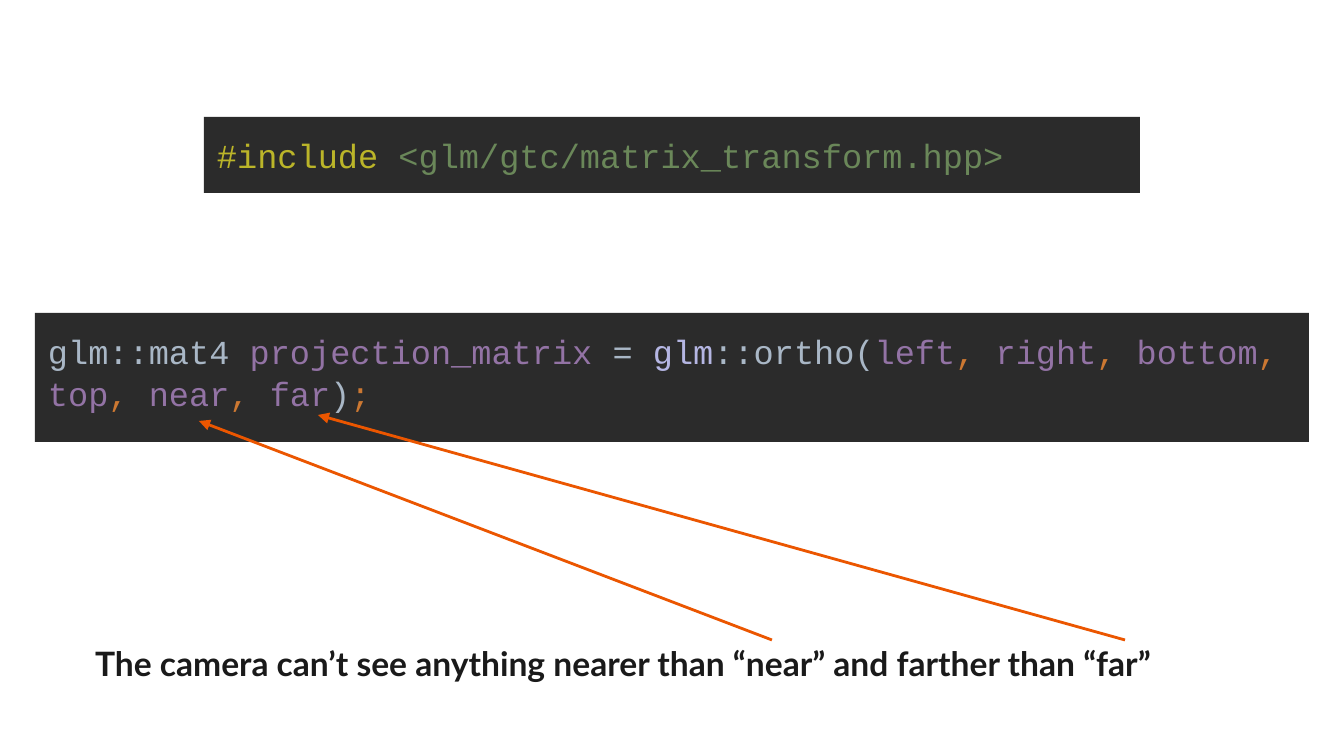
import pptx
import pptx.util
import pptx.dml.color
import pptx.enum.shapes
import pptx.enum.text
import pptx.oxml
import pptx.oxml.ns

RGBColor = pptx.dml.color.RGBColor
PANEL = RGBColor(0x2B, 0x2B, 0x2B)
PLAIN = RGBColor(0xA9, 0xB7, 0xC6)
VARIABLE = RGBColor(0x93, 0x73, 0xA5)
NAMESPACE = RGBColor(0xB5, 0xB6, 0xE3)
PUNCTUATION = RGBColor(0xCC, 0x78, 0x32)
DIRECTIVE = RGBColor(0xBB, 0xB5, 0x29)
HEADER = RGBColor(0x6A, 0x87, 0x59)
INK = RGBColor(0x1A, 0x1A, 0x1A)
ORANGE = RGBColor(0xEB, 0x56, 0x00)

EMU_PER_PX = 914400 / 134.4
INSET = 13


def px(length):
    return pptx.util.Emu(round(length * EMU_PER_PX))


def write_runs(shape, runs, font_name, top_inset=INSET, bold=False):
    """Fill the shape with one left-aligned paragraph of (text, colour) runs."""
    frame = shape.text_frame
    frame.word_wrap = True
    frame.vertical_anchor = pptx.enum.text.MSO_ANCHOR.TOP
    frame.margin_left = frame.margin_right = frame.margin_bottom = px(INSET)
    frame.margin_top = px(top_inset)
    paragraph = frame.paragraphs[0]
    paragraph.alignment = pptx.enum.text.PP_ALIGN.LEFT
    for text, colour in runs:
        run = paragraph.add_run()
        run.text = text
        run.font.name = font_name
        run.font.size = pptx.util.Pt(18)
        run.font.bold = bold
        run.font.color.rgb = colour
    return paragraph


presentation = pptx.Presentation()
presentation.slide_width = px(1344)
presentation.slide_height = px(756)
slide = presentation.slides.add_slide(presentation.slide_layouts[6])

# Code panels
ortho_runs = [
    ("glm::mat4", PLAIN),
    (" projection_matrix ", VARIABLE),
    ("= ", PLAIN),
    ("glm", NAMESPACE),
    ("::ortho(", PLAIN),
]
for argument in ("left", "right", "bottom", "top", "near"):
    ortho_runs += [(argument, VARIABLE), (", ", PUNCTUATION)]
ortho_runs += [("far", VARIABLE), (")", PLAIN), (";", PUNCTUATION)]

include_runs = [
    ("#include ", DIRECTIVE),
    ("<glm/gtc/matrix_transform.hpp>", HEADER),
]

for left, top, width, height, runs in (
    (35, 313, 1274, 129, ortho_runs),
    (204, 117, 936, 76, include_runs),
):
    panel = slide.shapes.add_shape(
        pptx.enum.shapes.MSO_SHAPE.RECTANGLE, px(left), px(top), px(width), px(height)
    )
    panel.shadow.inherit = False
    panel.fill.solid()
    panel.fill.fore_color.rgb = PANEL
    panel.line.fill.background()
    paragraph = write_runs(panel, runs, "Courier New", top_inset=16)
    paragraph.line_spacing = 1.05

# Caption
caption = slide.shapes.add_textbox(px(82), px(630), px(1140), px(74))
caption_runs = [
    ("The camera can’t see anything nearer than “near” and farther than “far”", INK)
]
write_runs(caption, caption_runs, "Lato", bold=True)

# Arrows from the caption's words to the near and far arguments
for start_x, end_x, end_y in ((772, 199, 421), (1125, 318, 415)):
    arrow = slide.shapes.add_connector(
        pptx.enum.shapes.MSO_CONNECTOR.STRAIGHT,
        px(start_x), px(640), px(end_x), px(end_y),
    )
    arrow.line.color.rgb = ORANGE
    arrow.line.width = pptx.util.Pt(1.5)
    tail = pptx.oxml.ns.qn("a:tailEnd")
    line_xml = arrow.line._get_or_add_ln()
    line_xml.append(line_xml.makeelement(tail, {"type": "triangle"}))
    properties = arrow._element.spPr
    properties.append(properties.makeelement(pptx.oxml.ns.qn("a:effectLst"), {}))

presentation.save("out.pptx")
